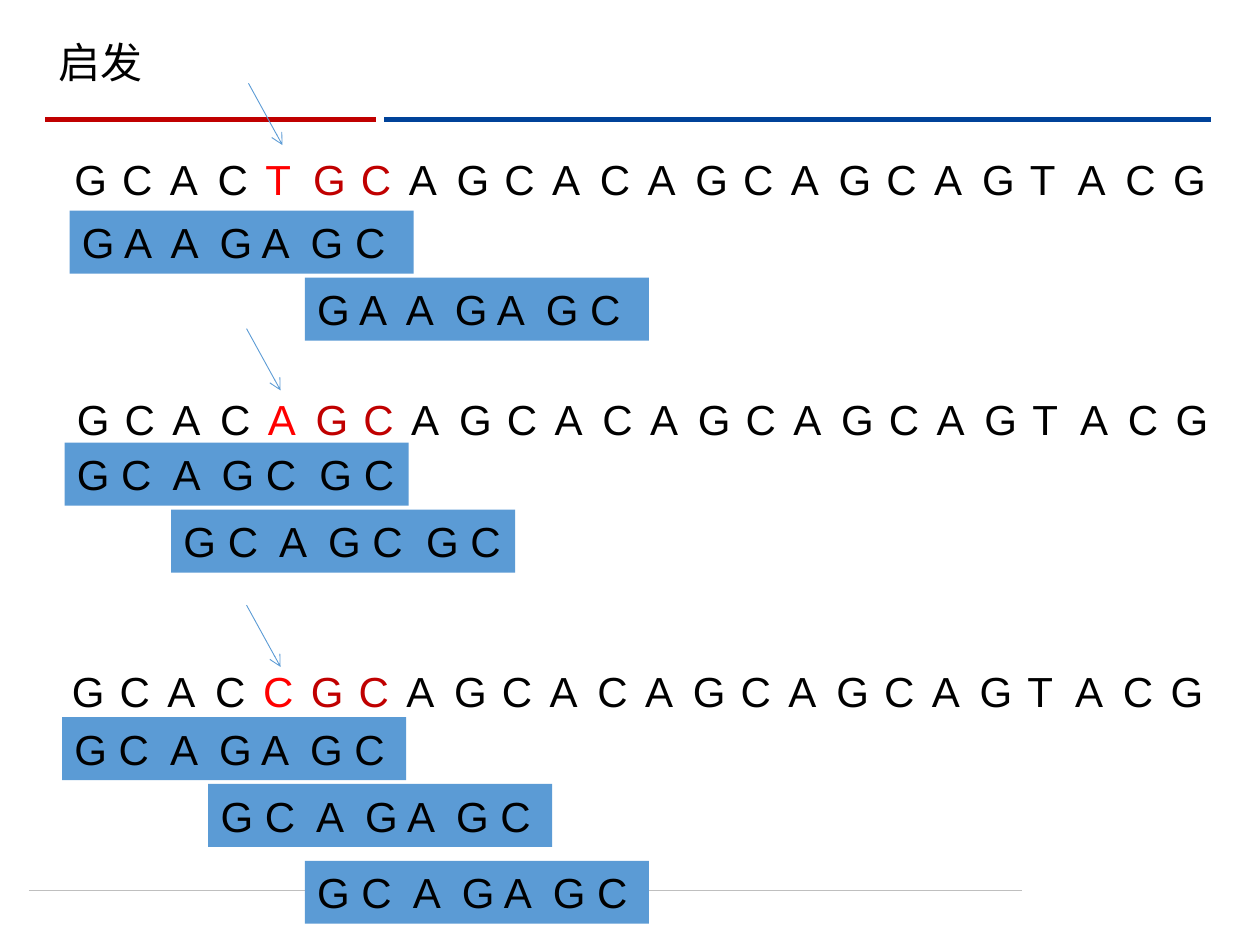
from lxml import etree
from pptx import Presentation
from pptx.dml.color import RGBColor
from pptx.enum.shapes import MSO_CONNECTOR, MSO_SHAPE
from pptx.enum.text import MSO_ANCHOR, MSO_AUTO_SIZE, PP_ALIGN
from pptx.oxml.ns import qn
from pptx.util import Pt

STRAIGHT = MSO_CONNECTOR.STRAIGHT
RECTANGLE = MSO_SHAPE.RECTANGLE
TOP, MIDDLE = MSO_ANCHOR.TOP, MSO_ANCHOR.MIDDLE
LEFT = PP_ALIGN.LEFT
NO_AUTOFIT = MSO_AUTO_SIZE.NONE

COLORS = {
    "text": "000000",
    "paper": "FFFFFF",
    "pattern": "5B9BD5",
    "mismatch": "FF0000",
    "suffix": "C00000",
    "rule_red": "C00000",
    "rule_blue": "004299",
    "footer": "BFBFBF",
}
FONT, FONT_SIZE = "Arial", 24

BASE_WIDTH, SEQUENCE_HEIGHT = 27.3, 66
PATTERN_WIDTH, PATTERN_HEIGHT = 196.6, 36
ARROW_DX, ARROW_DY = 19.4, 35.3

# The base under the arrow is the mismatch; the two after it match the suffix
MISMATCH_INDEX = 4
SUFFIX_INDEXES = (5, 6)
SEQUENCE_TAIL = "GCAGCACAGCAGCAGTACG"

# Each case: mismatched base, sequence corner, arrow start,
# pattern text and the corners of its successive alignments
CASES = [
    ("T", (35.3, 70.6), (142, 47.6), "G A  A  G A  G C",
     [(39.8, 120.4), (174.2, 158.7)]),
    ("A", (36.7, 207.4), (140.9, 187.8), "G C  A  G C  G C",
     [(36.9, 253), (97.8, 291.2)]),
    ("C", (33.9, 362.9), (140.9, 345.8), "G C  A  G A  G C",
     [(35.5, 409.8), (119, 448), (174.2, 491.9)]),
]


def rgb(name):
    return RGBColor.from_string(COLORS[name])


def format_text(paragraph, color="text"):
    paragraph.alignment = LEFT
    for run in paragraph.runs:
        run.font.name = FONT
        run.font.size = Pt(FONT_SIZE)
        run.font.color.rgb = rgb(color)


def add_title(slide, text):
    title = slide.shapes.title
    title.left, title.top = Pt(26), Pt(17.3)
    title.width, title.height = Pt(130), Pt(36)
    frame = title.text_frame
    frame.text = text
    frame.auto_size = NO_AUTOFIT
    frame.vertical_anchor = TOP
    format_text(frame.paragraphs[0])


def add_line(slide, start, end, color, width):
    line = slide.shapes.add_connector(
        STRAIGHT, *(Pt(value) for value in (*start, *end)))
    line.line.color.rgb = rgb(color)
    line.line.width = Pt(width)
    etree.SubElement(line._element.spPr, qn("a:effectLst"))
    return line


def add_arrow(slide, start):
    end = (start[0] + ARROW_DX, start[1] + ARROW_DY)
    arrow = add_line(slide, start, end, "pattern", 0.5)
    outline = arrow.line._get_or_add_ln()
    etree.SubElement(outline, qn("a:tailEnd"), type="arrow")


def base_color(index):
    if index == MISMATCH_INDEX:
        return "mismatch"
    return "suffix" if index in SUFFIX_INDEXES else "text"


def add_sequence(slide, corner, bases):
    left, top = corner
    table = slide.shapes.add_table(
        1, len(bases), Pt(left), Pt(top),
        Pt(BASE_WIDTH * len(bases)), Pt(SEQUENCE_HEIGHT)).table
    table.first_row = False
    table.horz_banding = False
    for index, base in enumerate(bases):
        table.columns[index].width = Pt(BASE_WIDTH)
        cell = table.cell(0, index)
        cell.fill.solid()
        cell.fill.fore_color.rgb = rgb("paper")
        cell.vertical_anchor = MIDDLE
        cell.text_frame.text = base
        format_text(cell.text_frame.paragraphs[0], base_color(index))


def add_pattern(slide, corner, text):
    left, top = corner
    pattern = slide.shapes.add_shape(
        RECTANGLE, Pt(left), Pt(top), Pt(PATTERN_WIDTH), Pt(PATTERN_HEIGHT))
    pattern.shadow.inherit = False
    pattern.fill.solid()
    pattern.fill.fore_color.rgb = rgb("pattern")
    pattern.line.fill.background()
    frame = pattern.text_frame
    frame.text = text
    frame.word_wrap = True
    frame.vertical_anchor = TOP
    format_text(frame.paragraphs[0])


def main():
    deck = Presentation()
    deck.slide_width, deck.slide_height = Pt(720), Pt(540)
    slide = deck.slides.add_slide(deck.slide_layouts[5])

    # Title and rules
    add_title(slide, "启发")
    add_line(slide, (16.5, 509), (735 - 151, 509), "footer", 0.5)
    add_line(slide, (219.6, 68.4), (691.9, 68.4), "rule_blue", 3)
    add_line(slide, (26, 68.4), (214.6, 68.4), "rule_red", 3)

    # Sequences, with the pattern's alignments below each
    for mismatch, corner, arrow_start, pattern, alignments in CASES:
        bases = "GCAC" + mismatch + SEQUENCE_TAIL
        add_sequence(slide, corner, bases)
        for alignment in alignments:
            add_pattern(slide, alignment, pattern)
        add_arrow(slide, arrow_start)

    deck.save("out.pptx")


if __name__ == "__main__":
    main()
